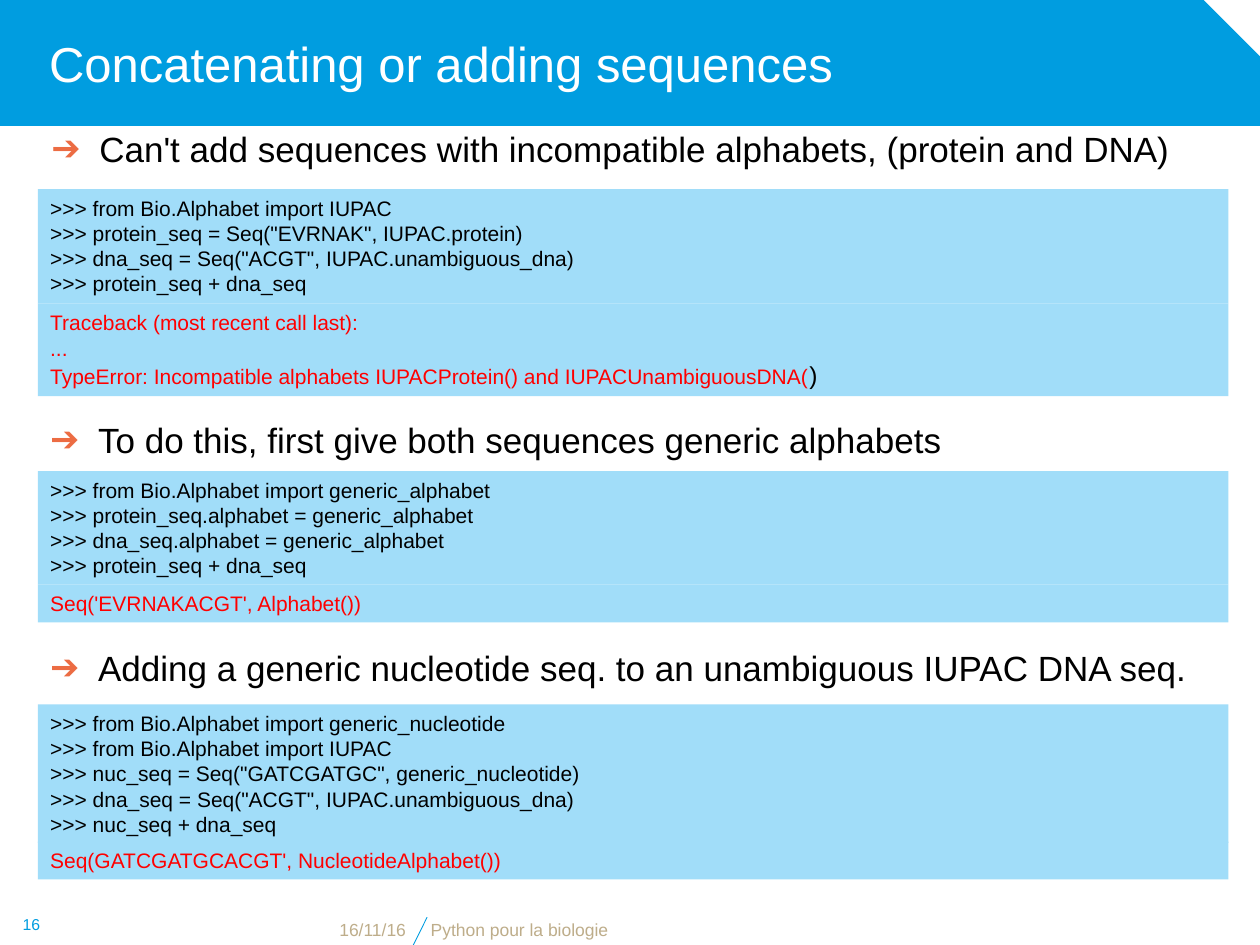
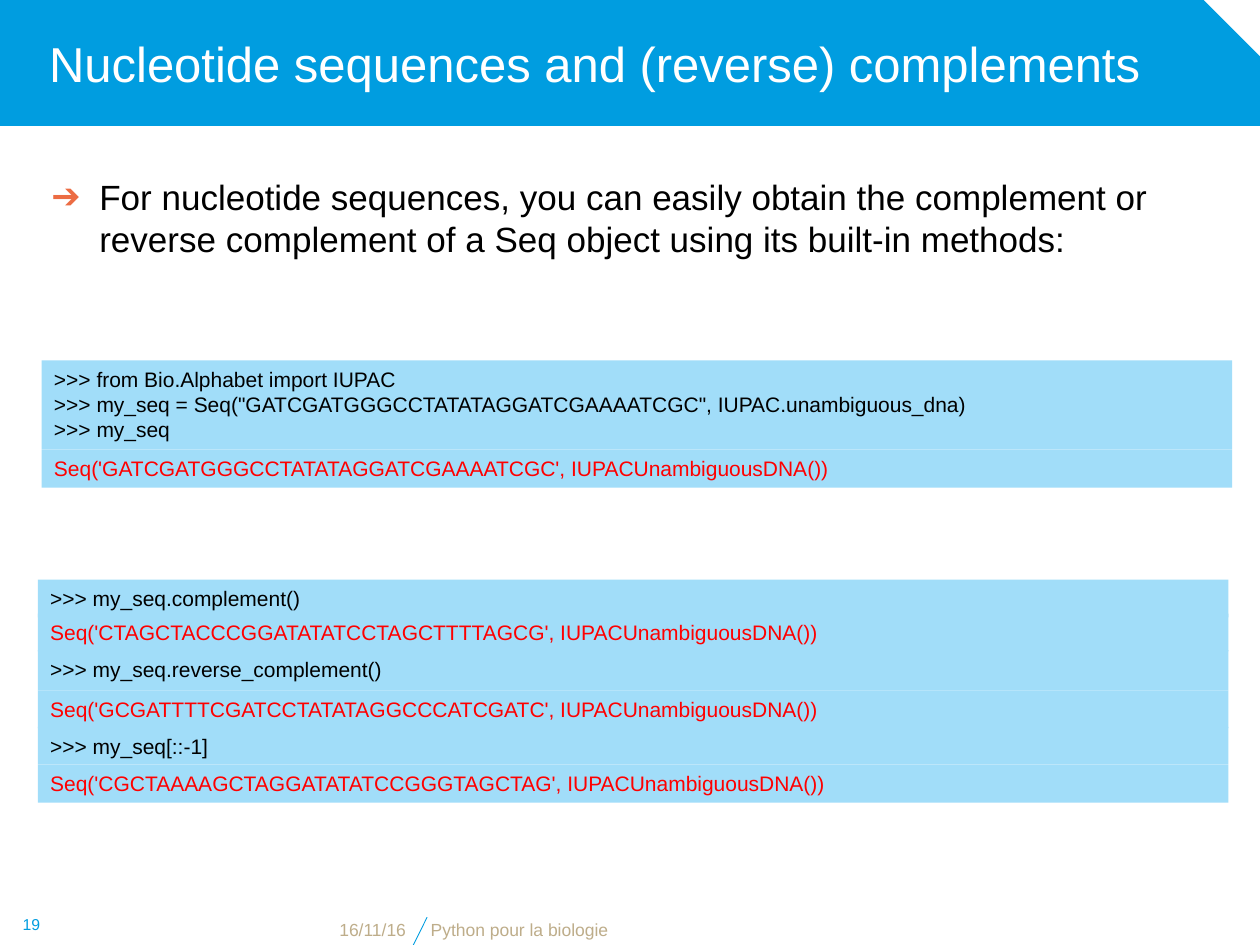
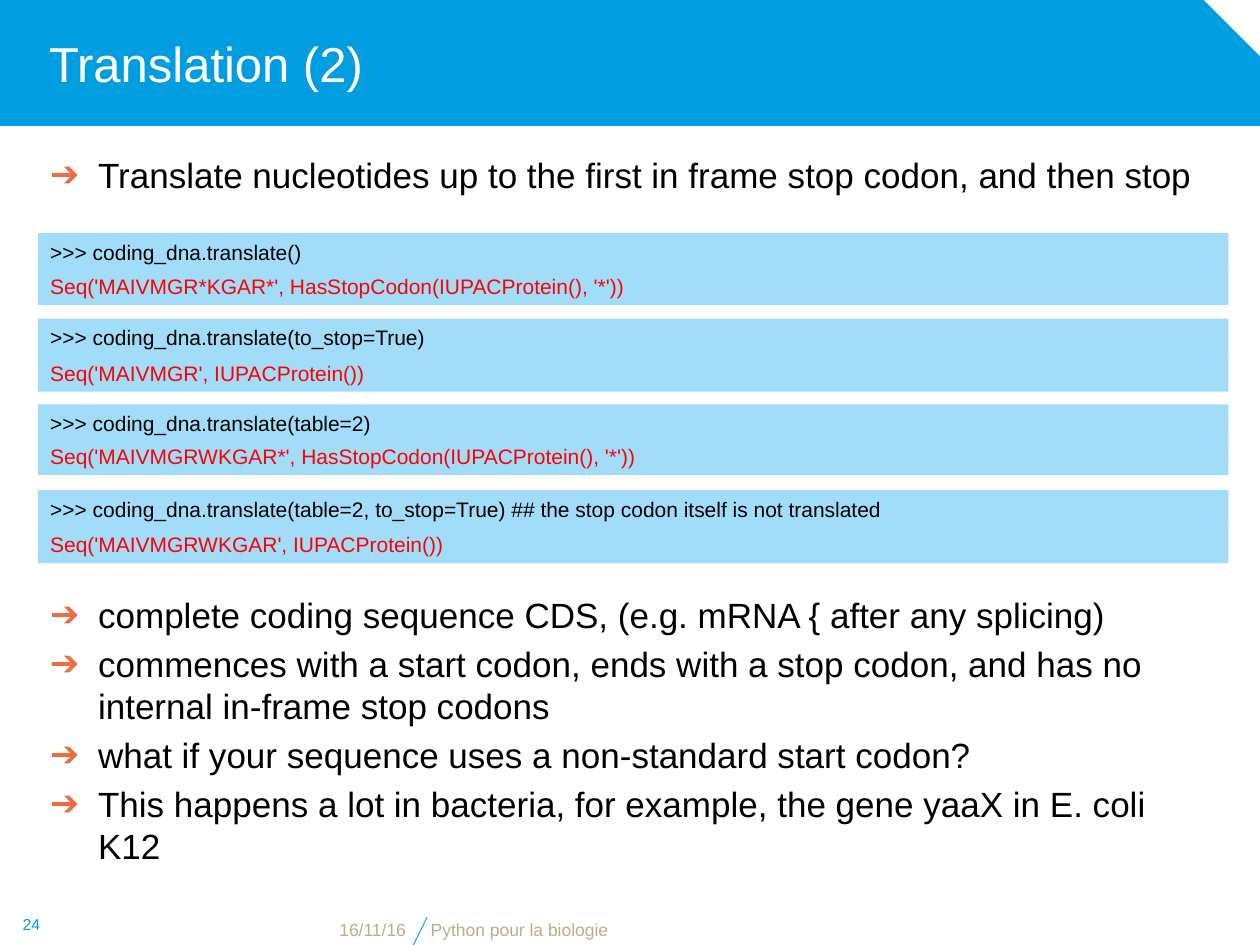
from dataclasses import dataclass

import pptx
import pptx.dml.color
import pptx.enum.shapes
import pptx.enum.text
import pptx.oxml
import pptx.oxml.ns
import pptx.util

Inches = pptx.util.Inches
Pt = pptx.util.Pt
ALIGN = pptx.enum.text.PP_ALIGN
ANCHOR = pptx.enum.text.MSO_ANCHOR
SHAPE = pptx.enum.shapes.MSO_SHAPE


@dataclass(frozen=True)
class Theme:
    font: str = "Arial"
    band: str = "009DE0"
    code_fill: str = "A1DDF9"
    bullet: str = "EC6C43"
    footer: str = "BEAD8A"
    text: str = "000000"
    output: str = "FF0000"
    title: str = "FFFFFF"
    title_size: int = 28
    body_size: int = 20
    code_size: int = 12
    tail_size: int = 14
    footer_size: int = 10
    number_size: int = 9


THEME = Theme()
DATE = "16/11/16"
COURSE = "Python pour la biologie"
CONTENT_WIDTH = 9.45
CODE_LEFT = 0.3

# bullets: (left, top, height, lines)
# code: (left, cells), each cell being (top, "in" or "out", lines);
# a line given as a pair ends in a tail of larger plain text
SLIDES = [
    {
        "number": 16,
        "title": "Concatenating or adding sequences",
        "bullets": [
            (0.31, 0.96, 0.53, ["Can't add sequences with incompatible alphabets, (protein and DNA)"]),
            (0.3, 3.27, 0.53, ["To do this, first give both sequences generic alphabets"]),
            (0.3, 5.08, 0.53, ["Adding a generic nucleotide seq. to an unambiguous IUPAC DNA seq."]),
        ],
        "code": [
            (CODE_LEFT, [
                (1.5, "in", [
                    ">>> from Bio.Alphabet import IUPAC",
                    '>>> protein_seq = Seq("EVRNAK", IUPAC.protein)',
                    '>>> dna_seq = Seq("ACGT", IUPAC.unambiguous_dna)',
                    ">>> protein_seq + dna_seq",
                ]),
                (2.41, "out", [
                    "Traceback (most recent call last):",
                    "...",
                    ("TypeError: Incompatible alphabets IUPACProtein() and IUPACUnambiguousDNA(", ")"),
                ]),
            ]),
            (CODE_LEFT, [
                (3.74, "in", [
                    ">>> from Bio.Alphabet import generic_alphabet",
                    ">>> protein_seq.alphabet = generic_alphabet",
                    ">>> dna_seq.alphabet = generic_alphabet",
                    ">>> protein_seq + dna_seq",
                ]),
                (4.64, "out", ["Seq('EVRNAKACGT', Alphabet())"]),
            ]),
            (CODE_LEFT, [
                (5.59, "in", [
                    ">>> from Bio.Alphabet import generic_nucleotide",
                    ">>> from Bio.Alphabet import IUPAC",
                    '>>> nuc_seq = Seq("GATCGATGC", generic_nucleotide)',
                    '>>> dna_seq = Seq("ACGT", IUPAC.unambiguous_dna)',
                    ">>> nuc_seq + dna_seq",
                ]),
                (6.68, "out", ["Seq(GATCGATGCACGT', NucleotideAlphabet())"]),
            ]),
        ],
    },
    {
        "number": 19,
        "title": "Nucleotide sequences and (reverse) complements",
        "bullets": [
            (0.31, 1.34, 0.94, [
                "For nucleotide sequences, you can easily obtain the complement or "
                "reverse complement of a Seq object using its built-in methods:",
            ]),
        ],
        "code": [
            (0.33, [
                (2.86, "in", [
                    ">>> from Bio.Alphabet import IUPAC",
                    '>>> my_seq = Seq("GATCGATGGGCCTATATAGGATCGAAAATCGC", IUPAC.unambiguous_dna)',
                    ">>> my_seq",
                ]),
                (3.57, "out", ["Seq('GATCGATGGGCCTATATAGGATCGAAAATCGC', IUPACUnambiguousDNA())"]),
            ]),
            (CODE_LEFT, [
                (4.6, "in", [">>> my_seq.complement()"]),
                (4.87, "out", ["Seq('CTAGCTACCCGGATATATCCTAGCTTTTAGCG', IUPACUnambiguousDNA())"]),
                (5.16, "in", [">>> my_seq.reverse_complement()"]),
                (5.48, "out", ["Seq('GCGATTTTCGATCCTATATAGGCCCATCGATC', IUPACUnambiguousDNA())"]),
                (5.77, "in", [">>> my_seq[::-1]"]),
                (6.07, "out", ["Seq('CGCTAAAAGCTAGGATATATCCGGGTAGCTAG', IUPACUnambiguousDNA())"]),
            ]),
        ],
    },
    {
        "number": 24,
        "title": "Translation (2)",
        "bullets": [
            (0.3, 1.17, 0.45, ["Translate nucleotides up to the first in frame stop codon, and then stop"]),
            (0.3, 4.66, 1.62, [
                "complete coding sequence CDS, (e.g. mRNA { after any splicing)",
                "commences with a start codon, ends with a stop codon, and has no internal in-frame stop codons",
                "what if your sequence uses a non-standard start codon?",
                "This happens a lot in bacteria, for example, the gene yaaX in E. coli K12",
            ]),
        ],
        "code": [
            (CODE_LEFT, [
                (1.85, "in", [">>> coding_dna.translate()"]),
                (2.12, "out", ["Seq('MAIVMGR*KGAR*', HasStopCodon(IUPACProtein(), '*'))"]),
            ]),
            (CODE_LEFT, [
                (2.53, "in", [">>> coding_dna.translate(to_stop=True)"]),
                (2.81, "out", ["Seq('MAIVMGR', IUPACProtein())"]),
            ]),
            (CODE_LEFT, [
                (3.21, "in", [">>> coding_dna.translate(table=2)"]),
                (3.47, "out", ["Seq('MAIVMGRWKGAR*', HasStopCodon(IUPACProtein(), '*'))"]),
            ]),
            (CODE_LEFT, [
                (3.89, "in", [
                    ">>> coding_dna.translate(table=2, to_stop=True) ## the stop codon itself is not translated",
                ]),
                (4.17, "out", ["Seq('MAIVMGRWKGAR', IUPACProtein())"]),
            ]),
        ],
    },
]


def rgb(value):
    return pptx.dml.color.RGBColor.from_string(value)


def format_span(span, size, colour):
    span.font.name = THEME.font
    span.font.size = Pt(size)
    span.font.color.rgb = rgb(colour)


def write(box, lines, size, colour, align=ALIGN.LEFT, anchor=ANCHOR.TOP):
    frame = box.text_frame
    frame.word_wrap = True
    frame.vertical_anchor = anchor
    frame.text = "\n".join(lines)
    for para in frame.paragraphs:
        para.alignment = align
        for span in para.runs:
            format_span(span, size, colour)


def add_text(page, place, lines, *style, **options):
    box = page.shapes.add_textbox(*map(Inches, place))
    write(box, lines, *style, **options)
    return box


def add_filled(page, shape_kind, place, colour):
    box = page.shapes.add_shape(shape_kind, *map(Inches, place))
    box.shadow.inherit = False
    box.fill.solid()
    box.fill.fore_color.rgb = rgb(colour)
    box.line.fill.background()
    return box


def add_arrow_bullet(para):
    properties = para._p.get_or_add_pPr()
    indent = Inches(0.38)
    properties.set("marL", str(indent))
    properties.set("indent", str(-indent))
    namespace = pptx.oxml.ns.nsdecls("a")
    for markup in (
        f'<a:spcBef {namespace}><a:spcPct val="20000"/></a:spcBef>',
        f'<a:buClr {namespace}><a:srgbClr val="{THEME.bullet}"/></a:buClr>',
        f'<a:buFont {namespace} typeface="{THEME.font}"/>',
        f'<a:buChar {namespace} char="➔"/>',
    ):
        properties.append(pptx.oxml.parse_xml(markup))


def add_bullets(page, left, top, height, lines):
    box = add_text(page, (left, top, CONTENT_WIDTH, height), lines, THEME.body_size, THEME.text)
    for para in box.text_frame.paragraphs:
        add_arrow_bullet(para)


def add_code_block(page, left, cells):
    """Stack the cells, each as tall as its text and reaching at least the next one."""
    next_tops = [top for top, _, _ in cells[1:]] + [0]
    for (top, role, lines), next_top in zip(cells, next_tops):
        heads = [line if isinstance(line, str) else line[0] for line in lines]
        tails = [None if isinstance(line, str) else line[1] for line in lines]
        sizes = [THEME.tail_size if tail else THEME.code_size for tail in tails]
        height = max(0.1 + sum(sizes) * 1.2 / 72, next_top - top)
        box = add_filled(page, SHAPE.RECTANGLE, (left, top, CONTENT_WIDTH, height), THEME.code_fill)
        write(box, heads, THEME.code_size, THEME.text if role == "in" else THEME.output)
        box.text_frame.auto_size = pptx.enum.text.MSO_AUTO_SIZE.SHAPE_TO_FIT_TEXT
        for para, tail in zip(box.text_frame.paragraphs, tails):
            if tail:
                span = para.add_run()
                span.text = tail
                format_span(span, THEME.tail_size, THEME.text)


def add_frame(page, title, number):
    """Add the title band and the footer that every slide shares."""
    band = add_filled(page, SHAPE.SNIP_1_RECTANGLE, (0, 0, 10.01, 1), THEME.band)
    band.adjustments[0] = 0.458

    slash = page.shapes.add_connector(
        pptx.enum.shapes.MSO_CONNECTOR.STRAIGHT, *map(Inches, (3.28, 7.5, 3.39, 7.28)))
    slash.line.color.rgb = rgb(THEME.band)
    slash.line.width = Pt(0.5)
    slash._element.spPr.append(
        pptx.oxml.parse_xml(f"<a:effectLst {pptx.oxml.ns.nsdecls('a')}/>"))

    heading = add_text(page, (0, 0, 9.5, 1), [title], THEME.title_size, THEME.title,
                       anchor=ANCHOR.MIDDLE)
    heading.text_frame.margin_left = Inches(0.39)
    footer_style = (THEME.footer_size, THEME.footer)
    add_text(page, (0.99, 7.28, 2.33, 0.23), [DATE], *footer_style,
             align=ALIGN.RIGHT, anchor=ANCHOR.BOTTOM)
    add_text(page, (3.32, 7.28, 5.75, 0.23), [COURSE], *footer_style, anchor=ANCHOR.BOTTOM)
    add_text(page, (0, 7.17, 0.5, 0.33), [str(number)], THEME.number_size, THEME.band,
             align=ALIGN.CENTER, anchor=ANCHOR.MIDDLE)


def main():
    deck = pptx.Presentation()
    deck.slide_width = Inches(10)
    deck.slide_height = Inches(7.5)
    blank = deck.slide_layouts[6]
    for content in SLIDES:
        page = deck.slides.add_slide(blank)
        add_frame(page, content["title"], content["number"])
        for block in content["code"]:
            add_code_block(page, *block)
        for group in content["bullets"]:
            add_bullets(page, *group)
    deck.save("out.pptx")


if __name__ == "__main__":
    main()
